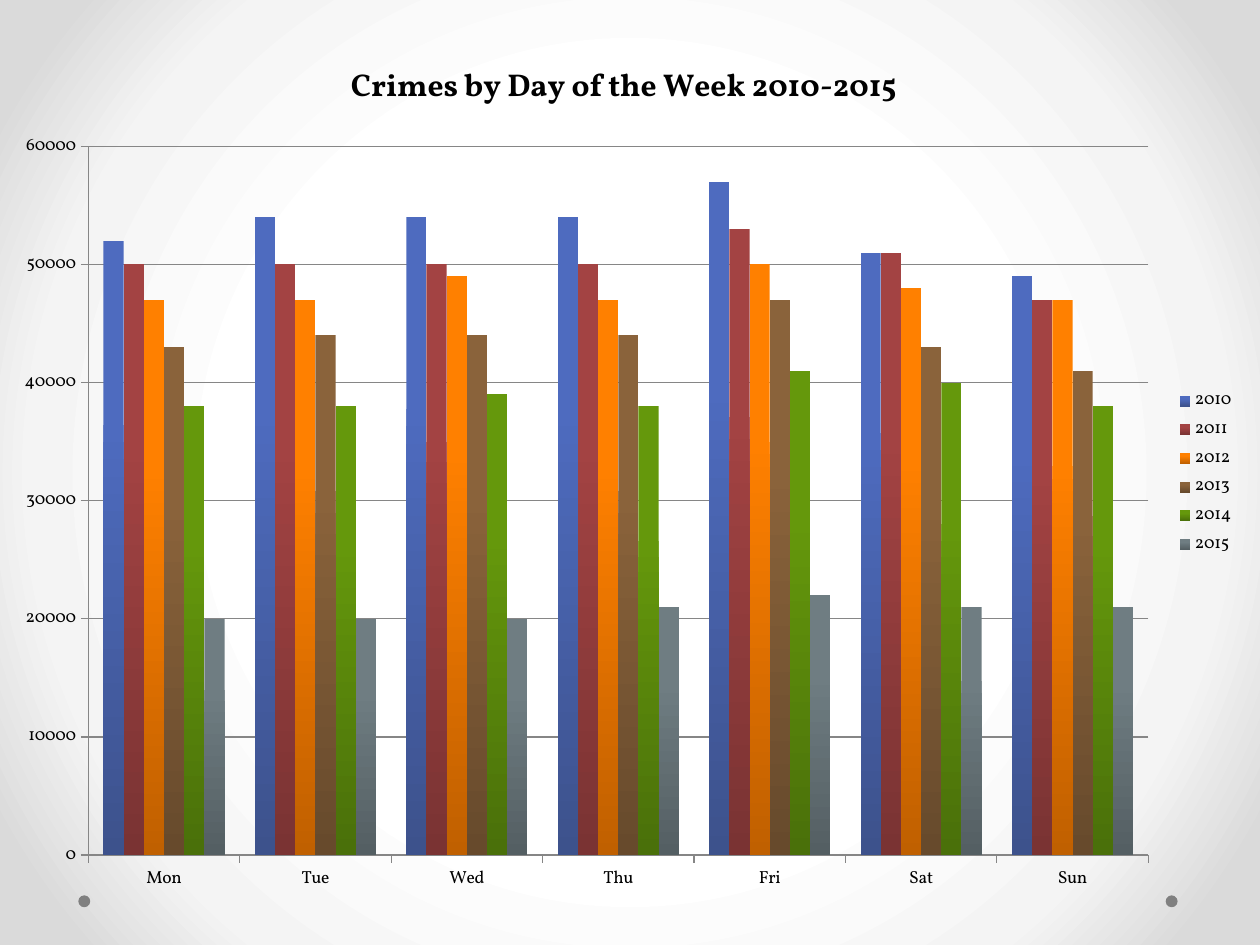
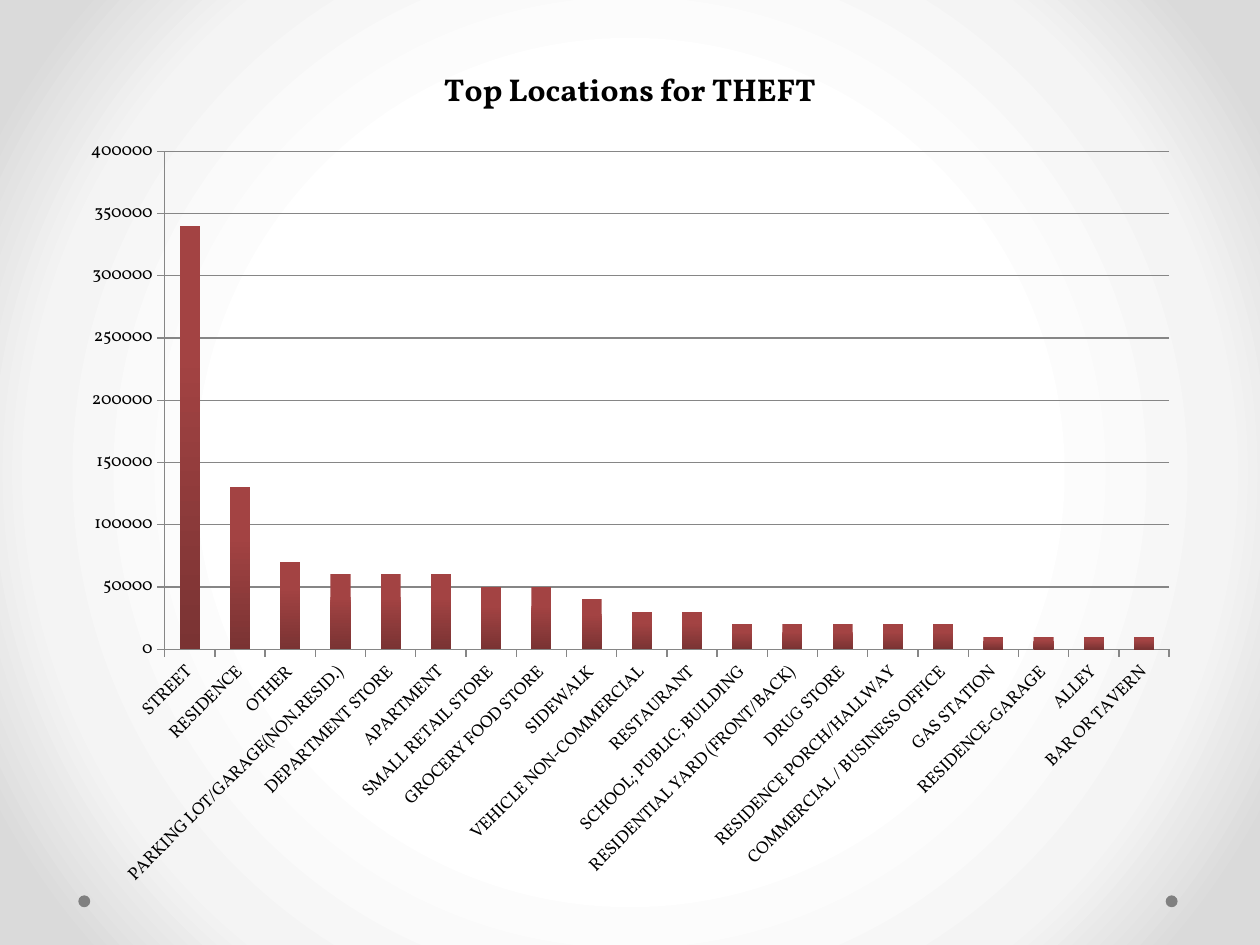
from pptx import Presentation
from pptx.chart.data import CategoryChartData
from pptx.dml.color import RGBColor
from pptx.enum import chart as ch, shapes
from pptx.oxml import ns, parse_xml
from pptx.util import Cm, Pt

FONT = "Vollkorn"
INK, RULE, DOT = "000000", "868686", "808080"
BACKDROP = [(50, "FFFFFF"), (76, "F4F4F4"), (92, "DADADA")]
BLUE, RED, ORANGE = ("4E6BBF", "3D528C"), ("A34343", "7A3333"), ("FF8000", "C06000")
BROWN, GREEN, SLATE = ("8A633B", "674A2C"), ("65980C", "4A700A"), ("6F7D82", "545F63")

DAYS = ["Mon", "Tue", "Wed", "Thu", "Fri", "Sat", "Sun"]
CRIMES_BY_YEAR = {
    "2010": (BLUE, [52000, 54000, 54000, 54000, 57000, 51000, 49000]),
    "2011": (RED, [50000, 50000, 50000, 50000, 53000, 51000, 47000]),
    "2012": (ORANGE, [47000, 47000, 49000, 47000, 50000, 48000, 47000]),
    "2013": (BROWN, [43000, 44000, 44000, 44000, 47000, 43000, 41000]),
    "2014": (GREEN, [38000, 38000, 39000, 38000, 41000, 40000, 38000]),
    "2015": (SLATE, [20000, 20000, 20000, 21000, 22000, 21000, 21000]),
}
THEFTS = {
    "STREET": 340000,
    "RESIDENCE": 130000,
    "OTHER": 70000,
    "PARKING LOT/GARAGE(NON.RESID.)": 60000,
    "DEPARTMENT STORE": 60000,
    "APARTMENT": 60000,
    "SMALL RETAIL STORE": 50000,
    "GROCERY FOOD STORE": 50000,
    "SIDEWALK": 40000,
    "VEHICLE NON-COMMERCIAL": 30000,
    "RESTAURANT": 30000,
    "SCHOOL; PUBLIC; BUILDING": 20000,
    "RESIDENTIAL YARD (FRONT/BACK)": 20000,
    "DRUG STORE": 20000,
    "RESIDENCE PORCH/HALLWAY": 20000,
    "COMMERCIAL / BUSINESS OFFICE": 20000,
    "GAS STATION": 10000,
    "RESIDENCE-GARAGE": 10000,
    "ALLEY": 10000,
    "BAR OR TAVERN": 10000,
}


def rgb(value):
    """Return the colour for a hex string."""
    return RGBColor.from_string(value)


def assign(target, **values):
    """Set each named attribute on the target."""
    for name, value in values.items():
        setattr(target, name, value)


def set_gradient(holder, stops, direction):
    """Swap the solid fill inside a properties element for a gradient."""
    marks = "".join(f'<a:gs pos="{place * 1000}"><a:srgbClr val="{rgb(colour)}"/></a:gs>'
                    for place, colour in stops)
    gradient = parse_xml(f'<a:gradFill {ns.nsdecls("a")} rotWithShape="1">'
                         f'<a:gsLst>{marks}</a:gsLst>{direction}</a:gradFill>')
    holder.replace(holder.find(ns.qn("a:solidFill")), gradient)


def paint_backdrop(master):
    """Give every slide the circular grey backdrop."""
    master.background.fill.solid()
    circle = ('<a:path path="circle"><a:fillToRect l="50000" t="50000" '
              'r="50000" b="50000"/></a:path>')
    set_gradient(master.element.find(".//" + ns.qn("p:bgPr")), BACKDROP, circle)


def add_slide(deck):
    """Add a blank slide with its two corner dots."""
    slide = deck.slides.add_slide(deck.slide_layouts[6])
    for left in (23.5, 1.58):
        dot = slide.shapes.add_shape(shapes.MSO_SHAPE.OVAL, Cm(left), Cm(18.05), Cm(0.24), Cm(0.24))
        dot.shadow.inherit = False
        dot.fill.solid()
        dot.fill.fore_color.rgb = rgb(DOT)
        dot.line.fill.background()
    return slide


def style_rule(line):
    """Draw an axis or grid line in thin grey."""
    line.width = Pt(0.75)
    line.color.rgb = rgb(RULE)


def style_axes(chart, top, step):
    """Set the value scale, the ticks and the grey rules."""
    for axis in (chart.category_axis, chart.value_axis):
        assign(axis, major_tick_mark=ch.XL_TICK_MARK.OUTSIDE, minor_tick_mark=ch.XL_TICK_MARK.NONE)
        style_rule(axis.format.line)
    assign(chart.value_axis, minimum_scale=0, maximum_scale=top, major_unit=step,
           has_major_gridlines=True)
    style_rule(chart.value_axis.major_gridlines.format.line)


def place_plot(chart, box, frame):
    """Fix the inner plot area, given in centimetres within the chart box."""
    area = chart.element.find(".//" + ns.qn("c:plotArea"))
    for old in area.findall(ns.qn("c:layout")):
        area.remove(old)
    sides = "".join(f'<c:{side} val="{length / whole}"/>'
                    for side, length, whole in zip("xywh", frame, box[2:] * 2))
    area.insert(0, parse_xml(
        f'<c:layout {ns.nsdecls("c")}><c:manualLayout><c:layoutTarget val="inner"/>'
        f'<c:xMode val="edge"/><c:yMode val="edge"/>{sides}</c:manualLayout></c:layout>'))


def add_columns(slide, box, title, categories, series, top, step, frame):
    """Add a titled clustered column chart that fills the box."""
    data = CategoryChartData()
    data.categories = categories
    for name, (_, values) in series.items():
        data.add_series(name, values)
    chart = slide.shapes.add_chart(ch.XL_CHART_TYPE.COLUMN_CLUSTERED, *map(Cm, box), data).chart
    assign(chart.font, name=FONT, size=Pt(10))
    chart.font.color.rgb = rgb(INK)
    heading = chart.chart_title.text_frame
    heading.text = title
    heading_font = heading.paragraphs[0].runs[0].font
    assign(heading_font, name=FONT, size=Pt(18), bold=True)
    heading_font.color.rgb = rgb(INK)
    chart.has_legend = len(series) > 1
    if chart.has_legend:
        assign(chart.legend, position=ch.XL_LEGEND_POSITION.RIGHT, include_in_layout=False)
    columns = chart.plots[0]
    assign(columns, gap_width=150, overlap=0, vary_by_categories=False)
    for column, ((light, dark), _) in zip(columns.series, series.values()):
        column.format.fill.solid()
        set_gradient(column.format.fill._xPr, [(0, light), (30, light), (100, dark)],
                     '<a:lin ang="5400000" scaled="0"/>')
    style_axes(chart, top, step)
    place_plot(chart, box, frame)
    return chart


def add_weekday_slide(deck):
    """Show crimes per weekday for each year."""
    add_columns(add_slide(deck), (0, 0.65, 25.15, 17.76), "Crimes by Day of the Week 2010-2015",
                DAYS, CRIMES_BY_YEAR, 60000, 10000, (1.78, 2.3, 21.37, 14.29))


def add_theft_slide(deck):
    """Show the places where most thefts happen."""
    chart = add_columns(add_slide(deck), (1.37, 0.76, 22.66, 17.4), "Top Locations for THEFT",
                        list(THEFTS), {"Series 1": (RED, list(THEFTS.values()))},
                        400000, 50000, (1.95, 2.29, 20.25, 10.04))
    labels = chart.category_axis.tick_labels
    labels.font.size = Pt(10)
    chart.category_axis._element.find(".//" + ns.qn("a:bodyPr")).set("rot", "-2700000")


def main():
    """Build and save the deck."""
    deck = Presentation()
    assign(deck, slide_width=Cm(25.4), slide_height=Cm(19.05))
    paint_backdrop(deck.slide_master)
    add_weekday_slide(deck)
    add_theft_slide(deck)
    deck.save("out.pptx")


if __name__ == "__main__":
    main()
